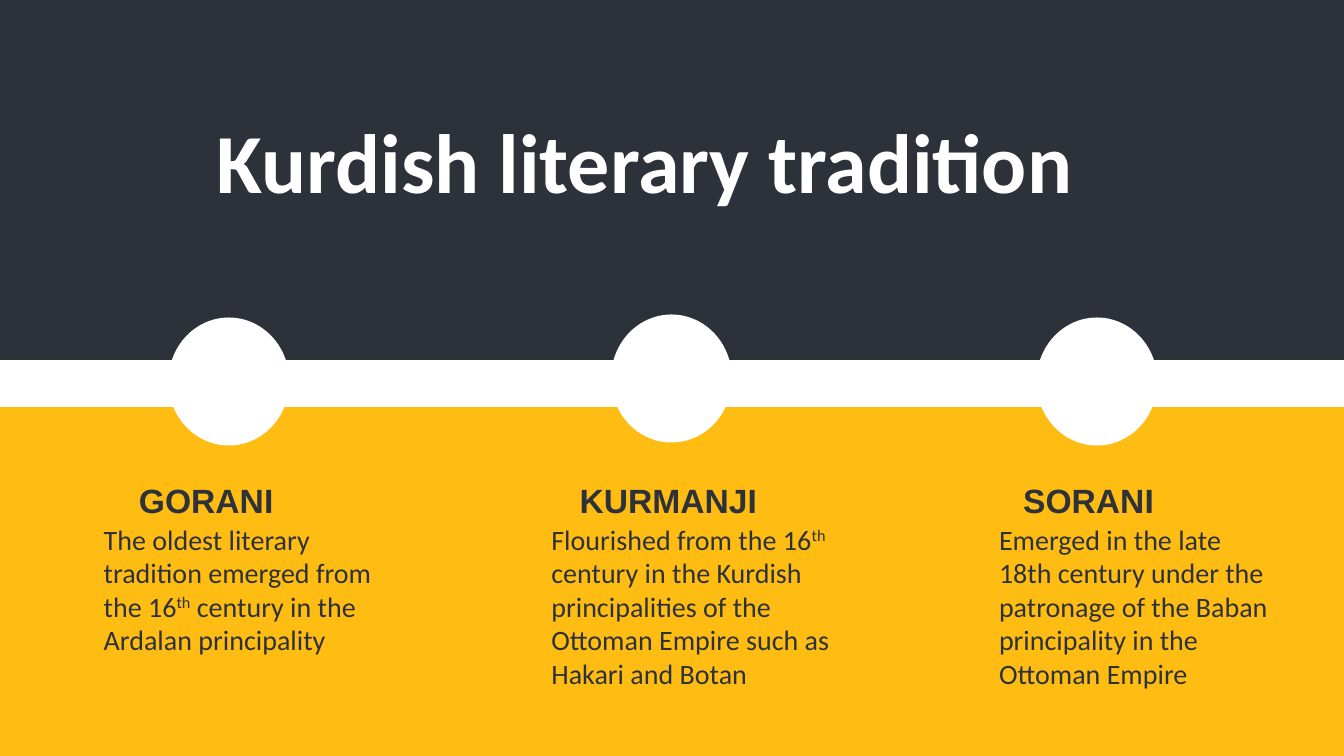
from pptx import Presentation
from pptx.dml.color import RGBColor
from pptx.enum.shapes import MSO_SHAPE
from pptx.util import Inches, Pt

DARK, GOLD, WHITE = "2D323A", "FFBC12", "FFFFFF"

# Heading, heading left and width, body left, circle left and top, body
# A caret marks the start and end of superscript text
COLUMNS = [
    ("GORANI", 1.28, 1.93, 0.93, 1.67, 3.15,
     "The oldest literary tradition emerged from the 16^th^ century in the "
     "Ardalan principality"),
    ("KURMANJI", 5.65, 2.42, 5.37, 6.06, 3.12,
     "Flourished from the 16^th^ century in the Kurdish principalities of the "
     "Ottoman Empire such as Hakari and Botan"),
    ("SORANI", 10.05, 1.67, 9.81, 10.28, 3.15,
     "Emerged in the late 18th century under the patronage of the Baban "
     "principality in the Ottoman Empire"),
]


def color(code):
    return RGBColor.from_string(code)


def add_form(slide, kind, box, fill, edge=False):
    form = slide.shapes.add_shape(kind, *map(Inches, box))
    form.shadow.inherit = False
    form.fill.solid()
    form.fill.fore_color.rgb = color(fill)
    if edge:
        form.line.color.rgb = color(fill)
        form.line.width = Pt(1)
    else:
        form.line.fill.background()


def add_text(slide, box, text, face, size, ink, bold=False):
    frame = slide.shapes.add_textbox(*map(Inches, box)).text_frame
    frame.word_wrap = True
    para = frame.paragraphs[0]
    para.font.name = face
    para.font.size = Pt(size)
    para.font.bold = bold
    para.font.color.rgb = color(ink)
    for index, part in enumerate(text.split("^")):
        run = para.add_run()
        run.text = part
        if index % 2:
            run._r.get_or_add_rPr().set("baseline", "30000")


def main():
    deck = Presentation()
    deck.slide_width, deck.slide_height = Inches(13.33), Inches(7.5)
    slide = deck.slides.add_slide(deck.slide_layouts[6])

    # Background and bands
    slide.background.fill.solid()
    slide.background.fill.fore_color.rgb = color(DARK)
    add_form(slide, MSO_SHAPE.RECTANGLE, (0, 4.04, 13.33, 3.46), GOLD, True)
    add_form(slide, MSO_SHAPE.RECTANGLE, (0, 3.58, 13.33, 0.45), WHITE, True)

    # Title
    add_text(slide, (2.05, 1.04, 9.22, 1.11), "Kurdish literary tradition",
             "Calibri", 60, WHITE, True)

    # One column for each tradition
    for name, left, width, body, dot, top, text in COLUMNS:
        add_form(slide, MSO_SHAPE.FLOWCHART_CONNECTOR,
                 (dot, top, 1.2, 1.27), WHITE)
        add_text(slide, (left, 4.71, width, 0.5), name, "Arial", 24, DARK, True)
        add_text(slide, (body, 5.13, 2.98, 1.78), text, "Calibri", 20, DARK)

    deck.save("out.pptx")


if __name__ == "__main__":
    main()
